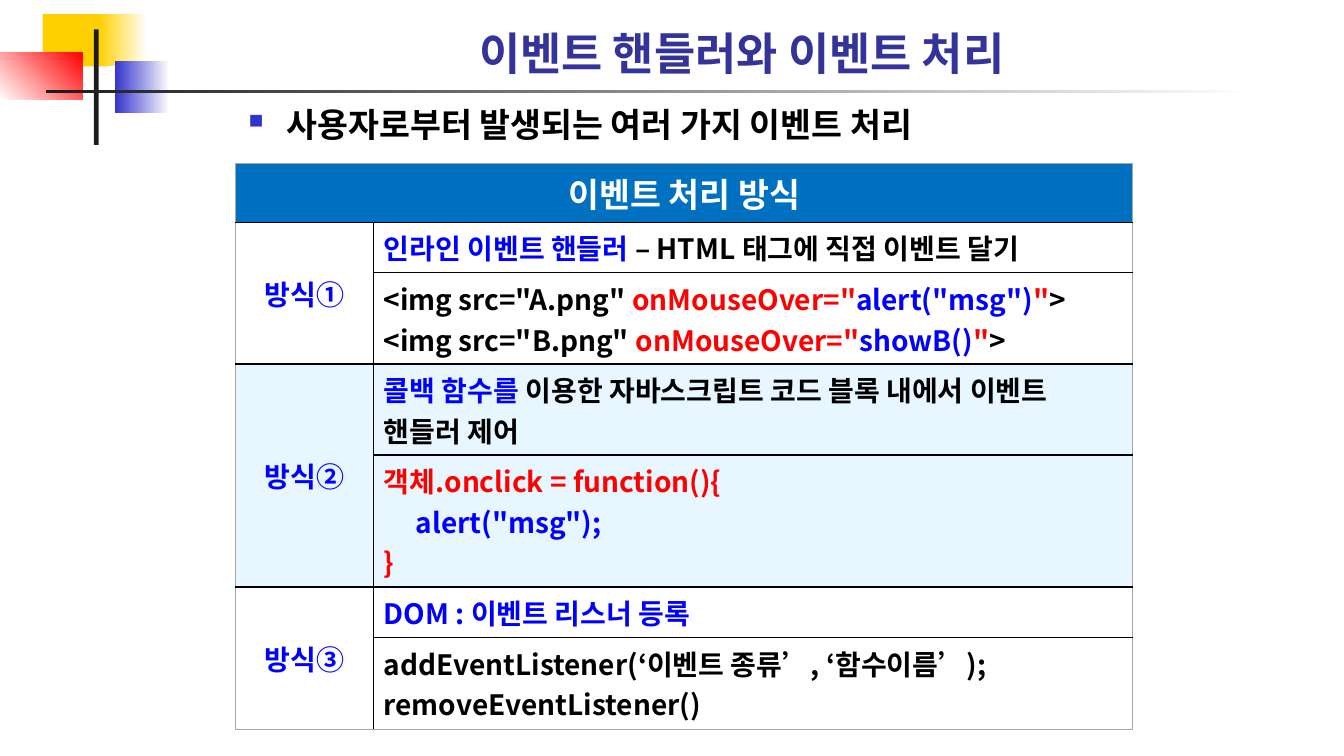
from lxml.etree import SubElement
from pptx import Presentation
from pptx.dml.color import RGBColor
from pptx.enum.shapes import MSO_SHAPE
from pptx.enum.text import MSO_ANCHOR, PP_ALIGN
from pptx.oxml import parse_xml
from pptx.oxml.ns import nsdecls, qn
from pptx.util import Pt

FONT = "Noto Sans CJK KR"
BLACK = RGBColor(0x00, 0x00, 0x00)
WHITE = RGBColor(0xFF, 0xFF, 0xFF)
RED = RGBColor(0xFF, 0x00, 0x00)
BLUE = RGBColor(0x00, 0x00, 0xFF)
YELLOW = RGBColor(0xFF, 0xCF, 0x01)
INDIGO = RGBColor(0x33, 0x33, 0xCC)
CHARCOAL = RGBColor(0x1C, 0x1C, 0x1C)
TITLE_BLUE = RGBColor(0x33, 0x33, 0x99)
HEADER_BLUE = RGBColor(0x00, 0x70, 0xC0)
PALE_BLUE = RGBColor(0xE7, 0xF6, 0xFF)
EDGE_GRAY = RGBColor(0xA6, 0xA6, 0xA6)

COLUMN_WIDTHS = [98.6, 542.2]
ROW_HEIGHTS = [42.1, 36.2, 65.1, 65.1, 94.3, 36.2, 65.1]

METHODS = [
    ("방식①", WHITE,
     [[("인라인 이벤트 핸들러 ", BLUE), ("– HTML 태그에 직접 이벤트 달기", BLACK)]],
     [[(f'<img src="{image}" ', BLACK), ('onMouseOver="', RED), (call, BLUE),
       ('"', RED), (">", BLACK)]
      for image, call in [("A.png", 'alert("msg")'), ("B.png", "showB()")]]),
    ("방식②", PALE_BLUE,
     [[("콜백 함수를 ", BLUE),
       ("이용한 자바스크립트 코드 블록 내에서 이벤트 핸들러 제어", BLACK)]],
     [[("객체.onclick = function(){", RED)],
      [('alert("msg");', BLUE)],
      [("}", RED)]]),
    ("방식③", WHITE,
     [[("DOM : 이벤트 리스너 등록", BLUE)]],
     [[("addEventListener(‘이벤트 종류’, ‘함수이름’);", BLACK)],
      [("removeEventListener()", BLACK)]]),
]


def add_bar(slide, left, top, width, height, start, end=None, angle=0):
    """Add a borderless rectangle, solid or fading from start to end."""
    bar = slide.shapes.add_shape(
        MSO_SHAPE.RECTANGLE, Pt(left), Pt(top), Pt(width), Pt(height))
    bar.shadow.inherit = False
    bar.line.fill.background()
    if end is None:
        bar.fill.solid()
        bar.fill.fore_color.rgb = start
        return
    bar.fill.gradient()
    bar.fill.gradient_angle = angle
    for stop, color, position in zip(bar.fill.gradient_stops, (start, end), (0, 1)):
        stop.color.rgb = color
        stop.position = position


def add_run(paragraph, text, size, color):
    """Append one bold run in the slide font."""
    run = paragraph.add_run()
    run.text = text
    run.font.size = Pt(size)
    run.font.bold = True
    run.font.name = FONT
    run.font.color.rgb = color
    SubElement(run.font._element, qn("a:ea"), typeface=FONT)


def add_text(slide, left, top, width, height, text, size, color, anchor):
    """Add a wrapped one-line text box and return its paragraph."""
    frame = slide.shapes.add_textbox(
        Pt(left), Pt(top), Pt(width), Pt(height)).text_frame
    frame.word_wrap = True
    frame.vertical_anchor = anchor
    add_run(frame.paragraphs[0], text, size, color)
    return frame.paragraphs[0]


def add_bullet(paragraph):
    """Give the paragraph a small square bullet with a hanging indent."""
    properties = paragraph._p.get_or_add_pPr()
    properties.set("marL", str(Pt(27)))
    properties.set("indent", str(-Pt(27)))
    color = SubElement(properties, qn("a:buClr"))
    SubElement(color, qn("a:srgbClr"), val=str(INDIGO))
    SubElement(properties, qn("a:buSzPct"), val="60000")
    SubElement(properties, qn("a:buChar"), char="■")


def fill_cell(cell, lines, size, align):
    """Write the coloured runs of each line into a table cell."""
    cell.vertical_anchor = MSO_ANCHOR.MIDDLE
    frame = cell.text_frame
    for index, runs in enumerate(lines):
        paragraph = frame.add_paragraph() if index else frame.paragraphs[0]
        paragraph.alignment = align
        for text, color in runs:
            add_run(paragraph, text, size, color)


def style_cell(cell, background, outer_sides):
    """Set the fill and the four borders of a table cell."""
    cell.fill.solid()
    cell.fill.fore_color.rgb = background
    properties = cell._tc.get_or_add_tcPr()
    for index, (side, is_outer) in enumerate(zip("LRTB", outer_sides)):
        color, width = (EDGE_GRAY, 0.5) if is_outer else (BLACK, 1)
        properties.insert(index, parse_xml(
            f'<a:ln{side} {nsdecls("a")} w="{Pt(width)}"><a:solidFill>'
            f'<a:srgbClr val="{color}"/></a:solidFill></a:ln{side}>'))


def add_methods_table(slide):
    """Add the table of event handling methods."""
    rows, columns = len(ROW_HEIGHTS), len(COLUMN_WIDTHS)
    table = slide.shapes.add_table(
        rows, columns, Pt(168.3), Pt(116.6),
        Pt(sum(COLUMN_WIDTHS)), Pt(sum(ROW_HEIGHTS))).table
    table.first_row = table.horz_banding = False
    for column, width in zip(table.columns, COLUMN_WIDTHS):
        column.width = Pt(width)
    for row, height in zip(table.rows, ROW_HEIGHTS):
        row.height = Pt(height)

    table.cell(0, 0).merge(table.cell(0, 1))
    fill_cell(table.cell(0, 0), [[("이벤트 처리 방식", WHITE)]], 24, PP_ALIGN.CENTER)
    backgrounds = [HEADER_BLUE]
    for index, (label, background, summary, code) in enumerate(METHODS):
        top = 1 + 2 * index
        table.cell(top, 0).merge(table.cell(top + 1, 0))
        fill_cell(table.cell(top, 0), [[(label, BLUE)]], 20, PP_ALIGN.CENTER)
        fill_cell(table.cell(top, 1), summary, 20, PP_ALIGN.LEFT)
        fill_cell(table.cell(top + 1, 1), code, 20, PP_ALIGN.LEFT)
        backgrounds += [background] * 2
    callback_body = table.cell(4, 1).text_frame.paragraphs[1]
    callback_body._p.get_or_add_pPr().set("marL", str(Pt(23)))

    for row, background in enumerate(backgrounds):
        for column in range(columns):
            cell = table.cell(row, column)
            style_cell(cell, background, (
                column == 0, column + cell.span_width == columns,
                row == 0, row + cell.span_height == rows))


def main():
    """Build the slide and save it."""
    deck = Presentation()
    deck.slide_width, deck.slide_height = Pt(960), Pt(540)
    slide = deck.slides.add_slide(deck.slide_layouts[6])

    add_bar(slide, 30.5, 10, 46, 37.5, YELLOW)
    add_bar(slide, 70.5, 10, 34.5, 37.5, YELLOW, WHITE)
    add_bar(slide, 82, 43.5, 39, 37.5, INDIGO, WHITE)
    add_bar(slide, 0, 37.5, 59, 33.5, WHITE, RED, 45)
    add_bar(slide, 67, 21, 3.5, 82.5, CHARCOAL)
    add_bar(slide, 33, 64, 864, 2.5, CHARCOAL, WHITE)

    title = add_text(slide, 121, 16.5, 818, 44, "이벤트 핸들러와 이벤트 처리",
                     32, TITLE_BLUE, MSO_ANCHOR.BOTTOM)
    title.alignment = PP_ALIGN.CENTER
    topic = add_text(slide, 170.5, 70.5, 654.5, 74,
                     "사용자로부터 발생되는 여러 가지 이벤트 처리",
                     24, BLACK, MSO_ANCHOR.TOP)
    add_bullet(topic)
    add_methods_table(slide)
    deck.save("out.pptx")


if __name__ == "__main__":
    main()
